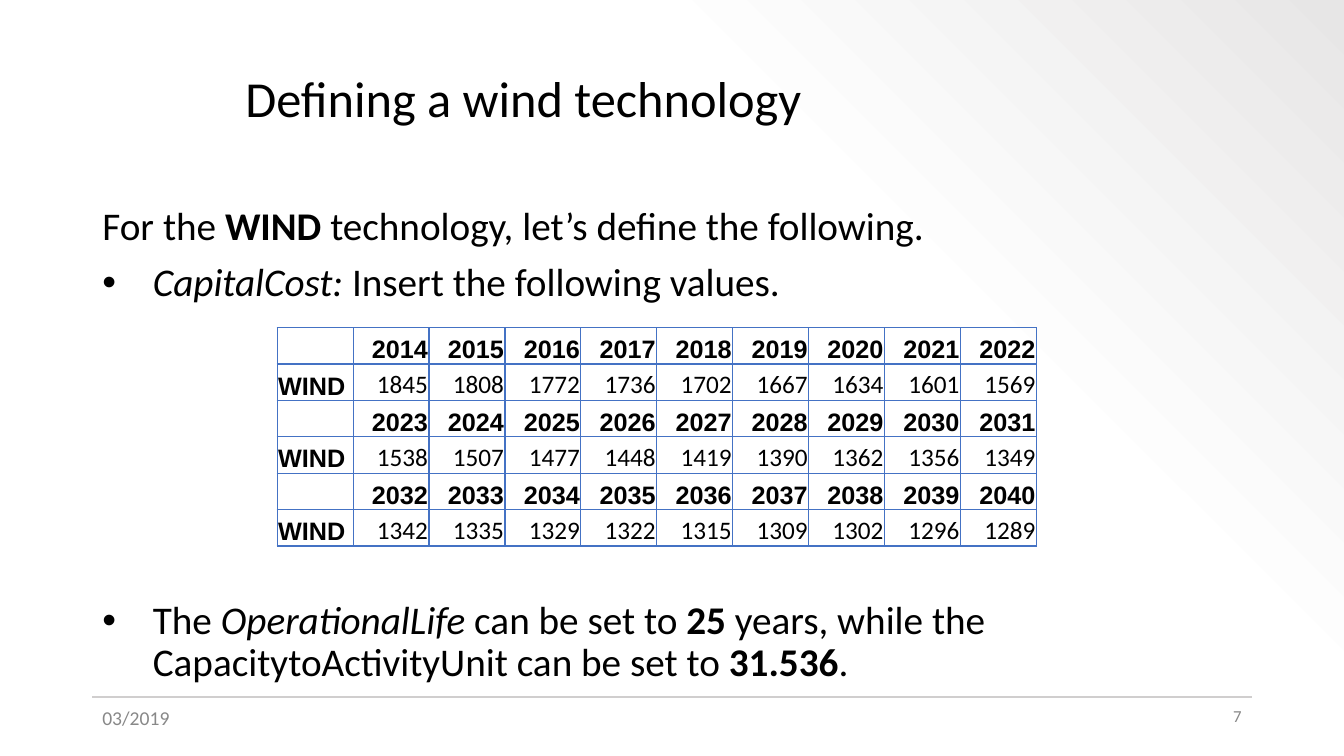
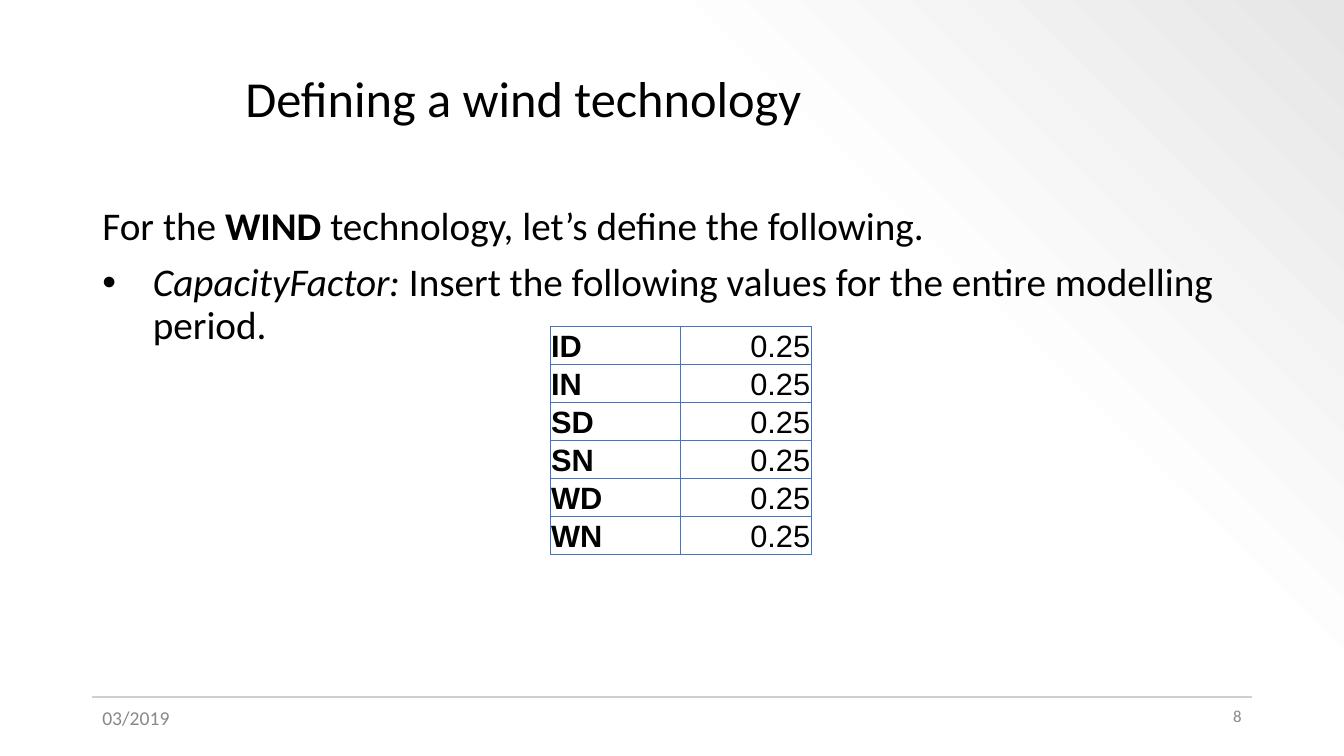
from lxml import etree
from pptx import Presentation
from pptx.dml.color import RGBColor
from pptx.enum.shapes import MSO_CONNECTOR
from pptx.enum.text import MSO_ANCHOR, MSO_AUTO_SIZE, PP_ALIGN
from pptx.oxml import parse_xml
from pptx.oxml.ns import nsdecls, qn
from pptx.util import Pt

LEFT, RIGHT = PP_ALIGN.LEFT, PP_ALIGN.RIGHT
MIDDLE, BOTTOM = MSO_ANCHOR.MIDDLE, MSO_ANCHOR.BOTTOM
NO_FIT = MSO_AUTO_SIZE.NONE
STRAIGHT = MSO_CONNECTOR.STRAIGHT

COLORS = {
    "text": "000000",
    "footer": "888888",
    "rule": "D0CECE",
    "border": "4472C4",
    "light": "FFFFFF",
    "pale": "FDFDFD",
    "corner": "E7E6E6",
}
MARGIN, CONTENT_WIDTH = 66, 828
FOOTER_TOP, FOOTER_WIDTH, FOOTER_HEIGHT = 500.5, 93.5, 29
BULLET_INDENT = 36

TITLE = "Defining a wind technology"
DATE = "03/2019"
INTRO = [("For the ", {}), ("WIND ", {"bold": True}),
         ("technology, let’s define the following.", {})]
FIRST_YEAR = 2014
CAPITAL_COSTS = [
    [1845, 1808, 1772, 1736, 1702, 1667, 1634, 1601, 1569],
    [1538, 1507, 1477, 1448, 1419, 1390, 1362, 1356, 1349],
    [1342, 1335, 1329, 1322, 1315, 1309, 1302, 1296, 1289],
]
TIME_SLICES = ["ID", "IN", "SD", "SN", "WD", "WN"]


def apply_formats(target, **formats):
    for name, value in formats.items():
        setattr(target, name, value)


def place(shape, left, top, width, height):
    apply_formats(shape, left=Pt(left), top=Pt(top), width=Pt(width), height=Pt(height))


def add_run(paragraph, text, size, color="text", name="Calibri", **formats):
    run = paragraph.add_run()
    run.text = text
    apply_formats(run.font, size=Pt(size), name=name, **formats)
    run.font.color.rgb = RGBColor.from_string(COLORS[color])


# Shared design
def set_background(master):
    stops = "".join(
        f'<a:gs pos="{position}"><a:srgbClr val="{COLORS[color]}">{alpha}</a:srgbClr></a:gs>'
        for position, color, alpha in [
            (0, "light", ""), (69000, "pale", ""),
            (100000, "corner", '<a:alpha val="50000"/>')])
    master.background.fill.solid()
    properties = master.element.find(".//" + qn("p:bgPr"))
    properties.replace(properties[0], parse_xml(
        f'<a:gradFill {nsdecls("a")} rotWithShape="1"><a:gsLst>{stops}</a:gsLst>'
        '<a:lin ang="18900000" scaled="0"/></a:gradFill>'))


def add_footer_rule(slide, layout):
    """Draw the rule and move it to the layout that all slides share."""
    rule = slide.shapes.add_connector(
        STRAIGHT, Pt(MARGIN), Pt(498), Pt(MARGIN + CONTENT_WIDTH), Pt(498))
    rule.line.color.rgb = RGBColor.from_string(COLORS["rule"])
    rule.line.width = Pt(1.5)
    etree.SubElement(rule.element.spPr, qn("a:effectLst"))
    layout.shapes.element.append(rule.element)


def add_footer(slide, left, text, size, alignment):
    box = slide.shapes.add_textbox(
        Pt(left), Pt(FOOTER_TOP), Pt(FOOTER_WIDTH), Pt(FOOTER_HEIGHT))
    box.text_frame.word_wrap = True
    paragraph = box.text_frame.paragraphs[0]
    paragraph.alignment = alignment
    add_run(paragraph, text, size, "footer")


# Title and list
def set_title(slide):
    frame = slide.shapes.title.text_frame
    apply_formats(frame, vertical_anchor=MIDDLE, auto_size=NO_FIT)
    paragraph = frame.paragraphs[0]
    apply_formats(paragraph, alignment=LEFT, line_spacing=0.9)
    add_run(paragraph, TITLE, 36)


def set_bullet(paragraph, bulleted):
    properties = paragraph._p.get_or_add_pPr()
    indent = Pt(BULLET_INDENT) if bulleted else 0
    properties.set("marL", str(indent))
    properties.set("indent", str(-indent))
    if not bulleted:
        etree.SubElement(properties, qn("a:buNone"))
        return
    color = etree.SubElement(properties, qn("a:buClr"))
    etree.SubElement(color, qn("a:srgbClr"), val=COLORS["text"])
    etree.SubElement(properties, qn("a:buFont"), typeface="Arial")
    etree.SubElement(properties, qn("a:buChar"), char="•")


def fill_body(slide, bullets):
    """Write the introduction, then bullets given as (space before, runs)."""
    frame = slide.placeholders[1].text_frame
    frame.auto_size = NO_FIT
    for index, (space_before, runs) in enumerate([(0, INTRO)] + bullets):
        paragraph = frame.add_paragraph() if index else frame.paragraphs[0]
        set_bullet(paragraph, bulleted=index > 0)
        apply_formats(paragraph, line_spacing=0.9, space_before=Pt(space_before))
        for text, formats in runs:
            add_run(paragraph, text, 28, **formats)


# Tables
def format_cell(cell):
    apply_formats(cell, vertical_anchor=BOTTOM, margin_left=Pt(0.75),
                  margin_right=Pt(0.75), margin_top=Pt(0.75), margin_bottom=0)
    cell.fill.background()
    properties = cell._tc.get_or_add_tcPr()
    for index, side in enumerate(["lnL", "lnR", "lnT", "lnB"]):
        properties.insert(index, parse_xml(
            f'<a:{side} {nsdecls("a")} w="{Pt(1)}"><a:solidFill>'
            f'<a:srgbClr val="{COLORS["border"]}"/></a:solidFill></a:{side}>'))


def add_grid(slide, left, top, column_width, row_heights, rows, size):
    """Add a table from rows of (text, font formats) cells."""
    columns = len(rows[0])
    table = slide.shapes.add_table(
        len(rows), columns, Pt(left), Pt(top),
        Pt(column_width * columns), Pt(sum(row_heights))).table
    apply_formats(table, first_row=False, horz_banding=False)
    for column in table.columns:
        column.width = Pt(column_width)
    for row, height, contents in zip(table.rows, row_heights, rows):
        row.height = Pt(height)
        for index, (cell, (text, formats)) in enumerate(zip(row.cells, contents)):
            format_cell(cell)
            paragraph = cell.text_frame.paragraphs[0]
            paragraph.alignment = RIGHT if index else LEFT
            if text:
                add_run(paragraph, text, size, **formats)
            else:
                paragraph.font.size = Pt(size)


def capital_cost_rows():
    heading = {"name": "Arial", "bold": True}
    rows, year = [], FIRST_YEAR
    for costs in CAPITAL_COSTS:
        years = range(year, year + len(costs))
        rows.append([("", {})] + [(str(value), heading) for value in years])
        rows.append([("WIND", heading)] + [(str(cost), {}) for cost in costs])
        year += len(costs)
    return rows


def add_content_slide(presentation, layout, number, bullets):
    slide = presentation.slides.add_slide(layout)
    set_title(slide)
    fill_body(slide, bullets)
    add_footer(slide, MARGIN, DATE, 14, LEFT)
    add_footer(slide, MARGIN + CONTENT_WIDTH - FOOTER_WIDTH, str(number), 12, RIGHT)
    return slide


def main():
    presentation = Presentation()
    apply_formats(presentation, slide_width=Pt(960), slide_height=Pt(540))
    layout = presentation.slide_layouts[1]
    set_background(presentation.slide_master)
    place(layout.placeholders[0], 168, 29, 726, 86.5)
    place(layout.placeholders[1], MARGIN, 144, CONTENT_WIDTH, 350)

    # Capital cost
    slide = add_content_slide(presentation, layout, 7, [
        (10, [("CapitalCost: ", {"italic": True}),
              ("Insert the following values.", {})]),
        (211, [("The ", {}), ("OperationalLife", {"italic": True}),
               (" can be set to ", {}), ("25 ", {"bold": True}),
               ("years, while the CapacitytoActivityUnit can be set to ", {}),
               ("31.536", {"bold": True}), (".", {})]),
    ])
    add_footer_rule(slide, layout)
    rows = capital_cost_rows()
    add_grid(slide, 198, 234, 54.25, [26] * len(rows), rows, 18)

    # Capacity factor
    slide = add_content_slide(presentation, layout, 8, [
        (10, [("CapacityFactor: ", {"italic": True}),
              ("Insert the following values for the entire modelling period.", {})]),
    ])
    rows = [[(name, {"name": "Arial", "bold": True}), ("0.25", {"name": "Arial"})]
            for name in TIME_SLICES]
    add_grid(slide, 393, 233, 93.25, [25.5, 26.5] + [25.5] * 4, rows, 22)

    presentation.save("out.pptx")


if __name__ == "__main__":
    main()
